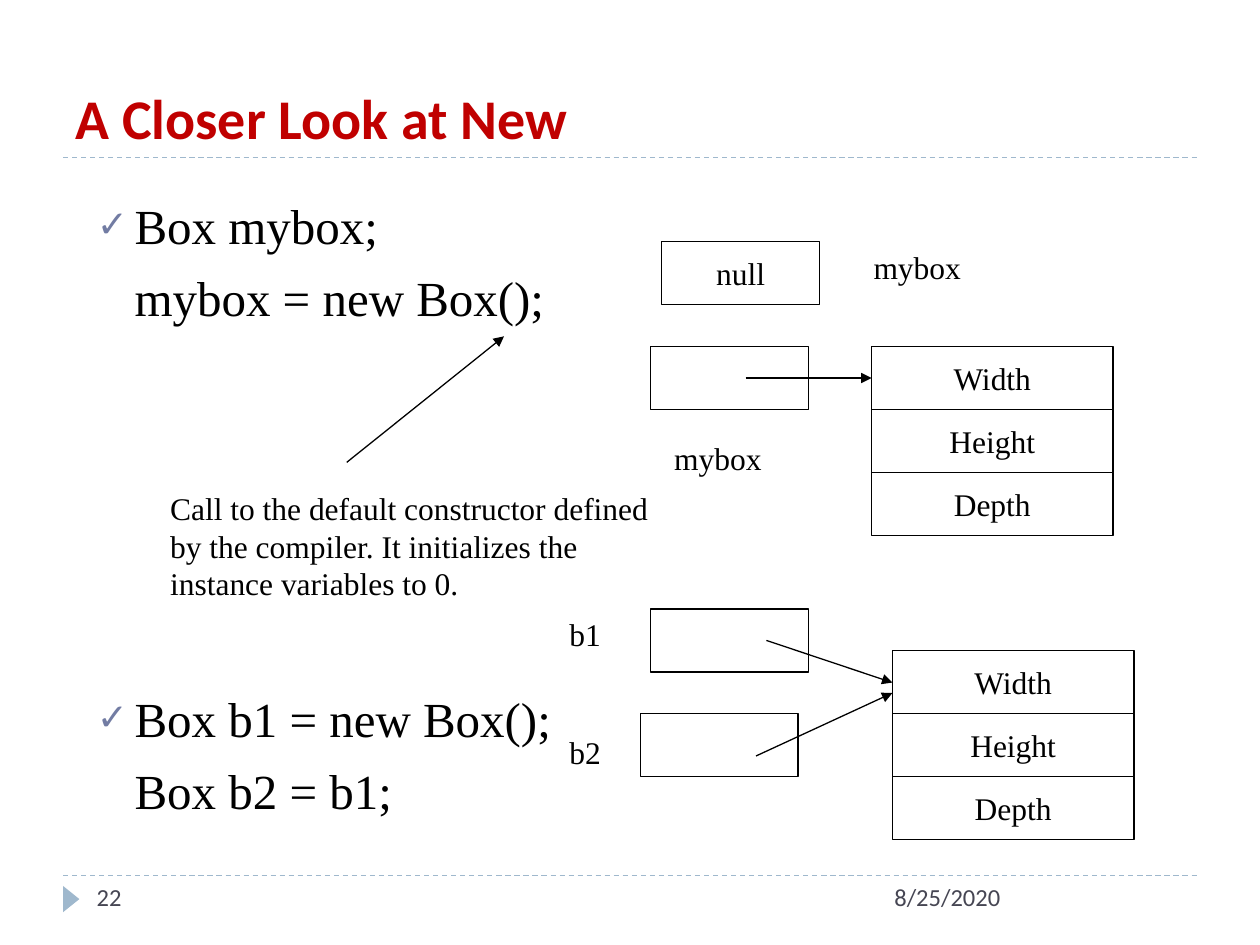
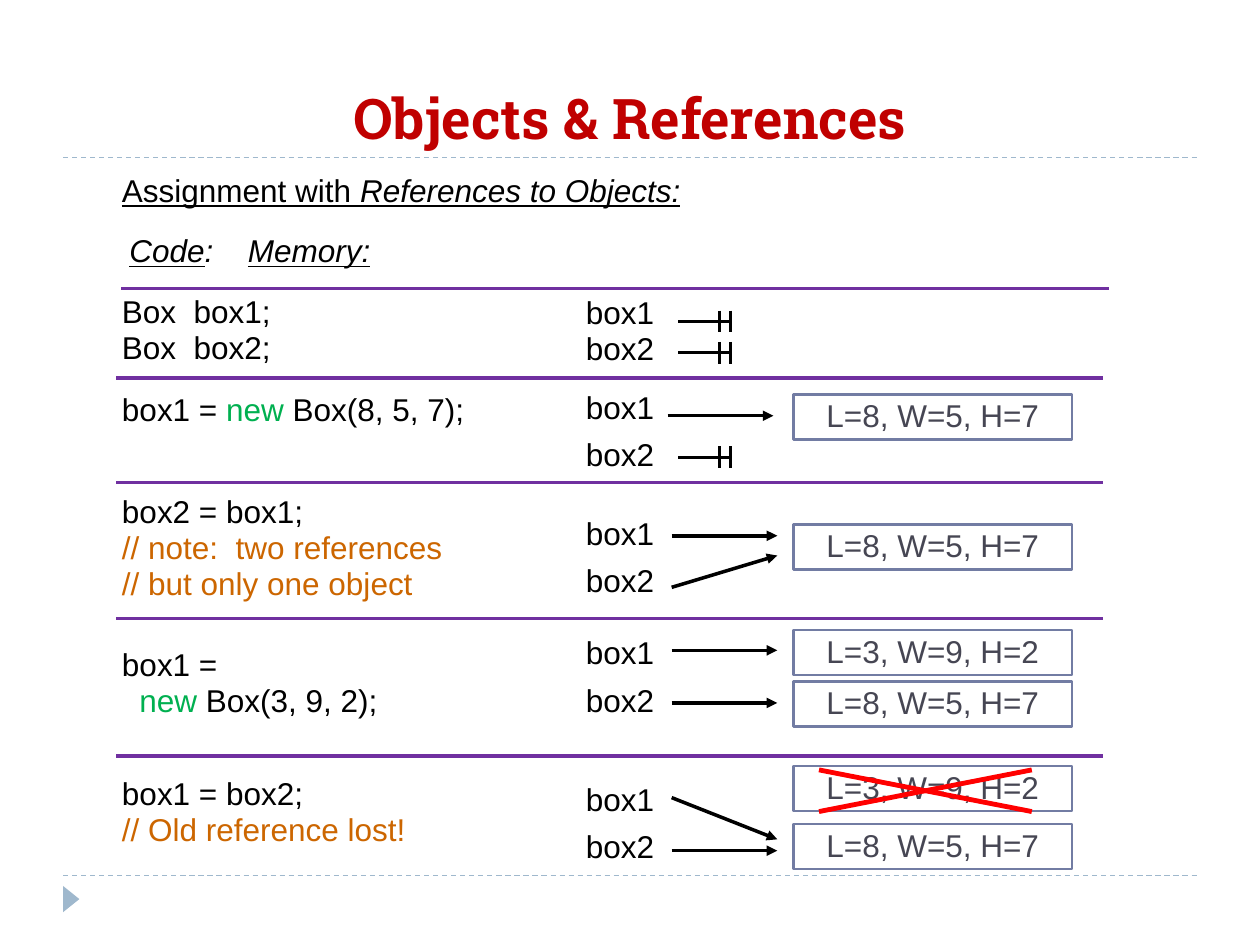
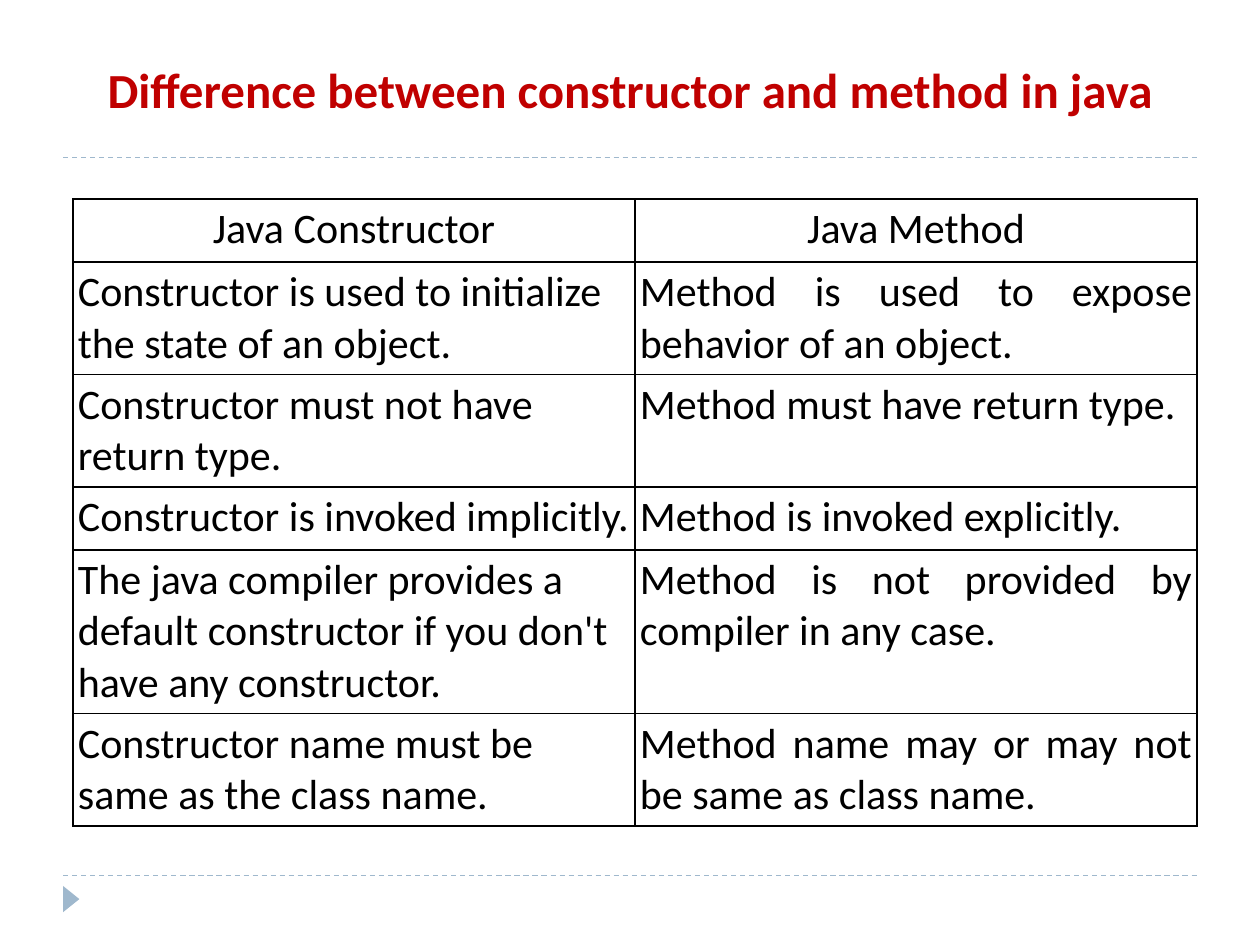
from lxml import etree
from pptx import Presentation
from pptx.dml.color import RGBColor
from pptx.enum.dml import MSO_LINE
from pptx.enum.shapes import MSO_CONNECTOR, MSO_SHAPE
from pptx.enum.text import MSO_ANCHOR, MSO_AUTO_SIZE, PP_ALIGN
from pptx.oxml.ns import qn
from pptx.util import Cm, Pt

# Enum members
RECT, TRIANGLE = MSO_SHAPE.RECTANGLE, MSO_SHAPE.ISOSCELES_TRIANGLE
STRAIGHT, DASH = MSO_CONNECTOR.STRAIGHT, MSO_LINE.DASH
LEFT, CENTER, JUSTIFY = PP_ALIGN.LEFT, PP_ALIGN.CENTER, PP_ALIGN.JUSTIFY
MIDDLE, BOTTOM = MSO_ANCHOR.MIDDLE, MSO_ANCHOR.BOTTOM
NO_FIT = MSO_AUTO_SIZE.NONE

# Colours
BLACK = RGBColor(0x00, 0x00, 0x00)
WHITE = RGBColor(0xFF, 0xFF, 0xFF)
CRIMSON = RGBColor(0xC0, 0x00, 0x00)
RED = RGBColor(0xFF, 0x00, 0x00)
SLATE = RGBColor(0x46, 0x46, 0x53)
INDIGO = RGBColor(0x72, 0x7C, 0xA3)
MIST = RGBColor(0x9F, 0xB8, 0xCD)
PURPLE = RGBColor(0x70, 0x30, 0xA0)
GREEN = RGBColor(0x00, 0xB0, 0x50)
ORANGE = RGBColor(0xCC, 0x66, 0x00)

# Fonts
SANS, SERIF, SLAB, PLAIN = "Calibri", "Times New Roman", "Roboto Slab", "Arial"

TITLE_BOX = (1.27, 0.43, 22.86, 2.74)
CELL = (3.18, 1.27)
FIELD = (4.87, 1.27)
LEAD = 0.95


# Text and shapes
def style(run, font, size, color=BLACK, bold=False):
    run.font.name, run.font.size = font, Pt(size)
    run.font.bold = bold
    run.font.color.rgb = color


def place(shape, box):
    shape.left, shape.top, shape.width, shape.height = map(Cm, box)


def write(frame, text, font, size, color=BLACK, align=LEFT):
    frame.text = text
    for par in frame.paragraphs:
        par.alignment = align
        for run in par.runs:
            style(run, font, size, color)


def label(slide, box, text, font=SERIF, size=18, color=BLACK):
    frame = slide.shapes.add_textbox(*map(Cm, box)).text_frame
    frame.word_wrap = True
    write(frame, text, font, size, color)
    return frame


def title(slide, text, font, size=32, align=LEFT, box=TITLE_BOX):
    head = slide.shapes.title
    place(head, box)
    frame = head.text_frame
    frame.auto_size, frame.vertical_anchor = NO_FIT, BOTTOM
    frame.text = text
    frame.paragraphs[0].alignment = align
    style(frame.paragraphs[0].runs[0], font, size, CRIMSON, True)


def block(slide, box, text="", font=SERIF, ink=BLACK, edge=BLACK, width=0.75):
    shape = slide.shapes.add_shape(RECT, *map(Cm, box))
    shape.shadow.inherit = False
    shape.fill.solid()
    shape.fill.fore_color.rgb = WHITE
    shape.line.color.rgb, shape.line.width = edge, Pt(width)
    frame = shape.text_frame
    frame.word_wrap, frame.vertical_anchor = False, MIDDLE
    if text:
        write(frame, text, font, 18, ink, CENTER)
    return shape


def line(slide, ends, color=BLACK, width=0.75, arrow=False):
    wire = slide.shapes.add_connector(STRAIGHT, *map(Cm, ends))
    wire.line.color.rgb, wire.line.width = color, Pt(width)
    etree.SubElement(wire._element.spPr, qn("a:effectLst"))
    if arrow:
        etree.SubElement(wire.line._get_or_add_ln(), qn("a:tailEnd"), type="triangle")
    return wire


# Dashed rules and corner mark, moved to the master so every slide has them
def frame_master(deck, slide):
    parts = [line(slide, (1.27, y, 24.13, y), MIST) for y in (17.65, 3.18)]
    for rule in parts:
        rule.line.dash_style = DASH
    mark = slide.shapes.add_shape(TRIANGLE, Cm(1.17), Cm(17.96), Cm(0.53), Cm(0.33))
    mark.rotation = 90
    mark.shadow.inherit = False
    mark.fill.solid()
    mark.fill.fore_color.rgb = MIST
    mark.line.fill.background()
    tree = deck.slide_master.shapes._spTree
    for num, part in enumerate(parts + [mark], 20):
        part._element.xpath(".//p:cNvPr")[0].set("id", str(num))
        tree.append(part._element)


# Slide 1: references made by new
def bullet(par, on):
    props = par._p.get_or_add_pPr()
    props.set("marL", str(Cm(0.76)))
    props.set("indent", str(Cm(-0.76) if on else 0))
    if not on:
        etree.SubElement(props, qn("a:buNone"))
        return
    tint = etree.SubElement(props, qn("a:buClr"))
    etree.SubElement(tint, qn("a:srgbClr"), val=str(INDIGO))
    etree.SubElement(props, qn("a:buSzPct"), val="76000")
    etree.SubElement(props, qn("a:buChar"), char="✓")


def code_list(slide):
    body = slide.placeholders[1]
    place(body, (1.7, 3.81, 23.29, 13.77))
    frame = body.text_frame
    frame.auto_size = NO_FIT
    rows = [("Box mybox;", True, 6), ("mybox = new Box();", False, 7.5),
            ("Box b1 = new Box();", True, 207), ("Box b2 = b1;", False, 7.5)]
    write(frame, "\n".join(row[0] for row in rows), SERIF, 28)
    for par, (_, on, gap) in zip(frame.paragraphs, rows):
        par.space_before = Pt(gap)
        bullet(par, on)


def record(slide, left, top):
    for row, name in enumerate(("Width", "Height", "Depth")):
        block(slide, (left, top + row * FIELD[1], *FIELD), name)


def closer_look(slide):
    title(slide, "A Closer Look at New", SANS)
    code_list(slide)
    block(slide, (13.34, 4.87, *CELL), "null")
    for spot in ((13.12, 6.99), (13.12, 12.28), (12.91, 14.39)):
        block(slide, (*spot, *CELL))
    record(slide, 17.57, 6.99)
    record(slide, 17.99, 13.12)
    for ends in ((15.03, 7.62, 17.57, 7.62), (6.99, 9.32, 10.16, 6.78),
                 (15.24, 15.24, 17.99, 13.97), (15.45, 12.91, 17.99, 13.76)):
        line(slide, ends, arrow=True)
    label(slide, (17.36, 4.87, 2.96, 1.02), "mybox")
    label(slide, (13.34, 8.72, 2.96, 1.02), "mybox")
    label(slide, (3.18, 9.73, 10.8, 2.54),
          "Call to the default constructor defined by the compiler. "
          "It initializes the instance variables to 0.")
    label(slide, (11.23, 12.28, 1.48, 1.02), "b1")
    label(slide, (11.23, 14.66, 1.48, 1.02), "b2")
    label(slide, (17.78, 17.65, 6.35, 1.02), "8/25/2020", SANS, 14, SLATE)
    label(slide, (1.7, 17.65, 5.5, 1.02), "22", SANS, 14, SLATE)


# Slide 2: code beside memory
def add_run(par, text, color=BLACK, under=False, slant=False):
    run = par.add_run()
    run.text = text
    style(run, PLAIN, 18, color)
    run.font.underline, run.font.italic = under, slant


def heading(slide):
    frame = slide.shapes.add_textbox(Cm(2.21), Cm(3.38), Cm(12.67), Cm(2.18)).text_frame
    frame.word_wrap = True
    first, second = frame.paragraphs[0], frame.add_paragraph()
    first.line_spacing = second.line_spacing = LEAD
    second.space_before = Pt(14)
    add_run(first, "Assignment with ", under=True)
    add_run(first, "References to Objects:", under=True, slant=True)
    add_run(second, "Code", under=True, slant=True)
    add_run(second, ":\t", slant=True)
    add_run(second, "Memory:", under=True, slant=True)
    props = second._p.get_or_add_pPr()
    props.set("indent", str(Cm(0.15)))
    tabs = etree.SubElement(props, qn("a:tabLst"))
    etree.SubElement(tabs, qn("a:tab"), pos=str(Cm(9.1)), algn="l")


def code(slide, top, width, rows):
    box = (2.21, top, width, 0.25 + 0.74 * len(rows))
    frame = slide.shapes.add_textbox(*map(Cm, box)).text_frame
    frame.word_wrap = True
    for num, parts in enumerate(rows):
        par = frame.add_paragraph() if num else frame.paragraphs[0]
        par.line_spacing = LEAD
        for part in parts:
            add_run(par, *part)
    return frame


def names(slide, top, gap=6.5):
    frame = label(slide, (11.56, top, 2, 1.9), "box1\nbox2", PLAIN)
    for par in frame.paragraphs:
        par.line_spacing = LEAD
    frame.paragraphs[1].space_before = Pt(gap)


def value(slide, top, text):
    shape = block(slide, (16, top, 5.61, 0.91), text, PLAIN, SLATE, INDIGO, 1.5)
    shape.text_frame.paragraphs[0].line_spacing = LEAD


def null_mark(slide, y):
    line(slide, (13.67, y, 14.73, y), width=2)
    for x in (14.5, 14.73):
        line(slide, (x, y - 0.22, x, y + 0.22), width=2)


def pointer(slide, start, end, left=13.54):
    line(slide, (left, start, left + 2.13, end), width=2, arrow=True)


def references(slide):
    title(slide, "Objects & References", SLAB, align=CENTER)
    heading(slide)

    # Code column
    code(slide, 5.82, 3.76, [[("Box  box1;",)], [("Box  box2;",)]])
    code(slide, 7.8, 7.49, [[("box1 = ",), ("new", GREEN), (" Box(8, 5, 7);",)]])
    code(slide, 9.86, 7.04, [[("box2 = box1;",)],
                             [("// note:  two references", ORANGE)],
                             [("// but only one object", ORANGE)]])
    fresh = code(slide, 12.93, 5.72, [[("box1 =",)],
                                      [("new ", GREEN), ("Box(3, 9, 2);",)]])
    fresh.paragraphs[1]._p.get_or_add_pPr().set("marL", str(Cm(0.35)))
    code(slide, 15.54, 6.3, [[("box1 = box2;",)],
                             [("// Old reference lost!", ORANGE)]])

    # Memory column
    names(slide, 5.84, 0)
    for top in (7.75, 10.29, 12.7, 15.65):
        names(slide, top)
    for top in (7.95, 10.57, 13.74, 16.61):
        value(slide, top, "L=8, W=5, H=7")
    for top in (12.7, 15.44):
        value(slide, top, "L=3, W=9, H=2")
    for y in (6.48, 7.11, 9.22):
        null_mark(slide, y)
    pointer(slide, 8.38, 8.38, 13.46)
    for start, end in ((10.8, 10.8), (11.84, 11.2), (13.11, 13.11),
                       (14.17, 14.17), (17.15, 17.15), (16.08, 16.92)):
        pointer(slide, start, end)

    # Cross on the lost object
    for start, end in ((15.52, 16.36), (16.36, 15.52)):
        line(slide, (16.51, start, 20.8, end), RED, 2.75)

    # Rules between steps
    line(slide, (2.44, 5.82, 22.35, 5.82), PURPLE, 2)
    for y in (7.62, 9.73, 12.47, 15.24):
        line(slide, (2.34, y, 22.23, y), PURPLE, 2)


# Slide 3: comparison table
def border(cell):
    props = cell._tc.get_or_add_tcPr()
    for num, side in enumerate(("lnL", "lnR", "lnT", "lnB")):
        edge = etree.Element(qn("a:" + side), w=str(Pt(1)))
        fill = etree.SubElement(edge, qn("a:solidFill"))
        etree.SubElement(fill, qn("a:srgbClr"), val=str(BLACK))
        props.insert(num, edge)


def grid(slide, rows, heights):
    box = (1.47, 4.01, 22.66, sum(heights))
    table = slide.shapes.add_table(len(rows), 2, *map(Cm, box)).table
    table.first_row = table.horz_banding = False
    for col in table.columns:
        col.width = Cm(11.33)
    for num, (texts, height) in enumerate(zip(rows, heights)):
        table.rows[num].height = Cm(height)
        for col, text in enumerate(texts):
            cell = table.cell(num, col)
            cell.fill.background()
            cell.margin_left = cell.margin_right = Cm(0.1)
            cell.margin_top = cell.margin_bottom = Cm(0.1)
            align = (LEFT, JUSTIFY)[col] if num else CENTER
            write(cell.text_frame, text, SANS, 24, align=align)
            border(cell)


def difference(slide):
    title(slide, "Difference between constructor and method in java", SANS, 28,
          CENTER, (0, 1.07, 25.4, 1.45))
    rows = [
        ("Java Constructor", "Java Method"),
        ("Constructor is used to initialize the state of an object.",
         "Method is used to expose behavior of an object."),
        ("Constructor must not have return type.",
         "Method must have return type."),
        ("Constructor is invoked implicitly.",
         "Method is invoked explicitly."),
        ("The java compiler provides a default constructor if you don't "
         "have any constructor.",
         "Method is not provided by compiler in any case."),
        ("Constructor name must be same as the class name.",
         "Method name may or may not be same as class name."),
    ]
    grid(slide, rows, (1.27, 2.23, 2.23, 1.27, 3.23, 2.23))


def main():
    deck = Presentation()
    deck.slide_width, deck.slide_height = Cm(25.4), Cm(19.05)
    listed, titled = deck.slide_layouts[1], deck.slide_layouts[5]
    first = deck.slides.add_slide(listed)
    frame_master(deck, first)
    closer_look(first)
    references(deck.slides.add_slide(titled))
    difference(deck.slides.add_slide(titled))
    deck.save("out.pptx")


if __name__ == "__main__":
    main()
